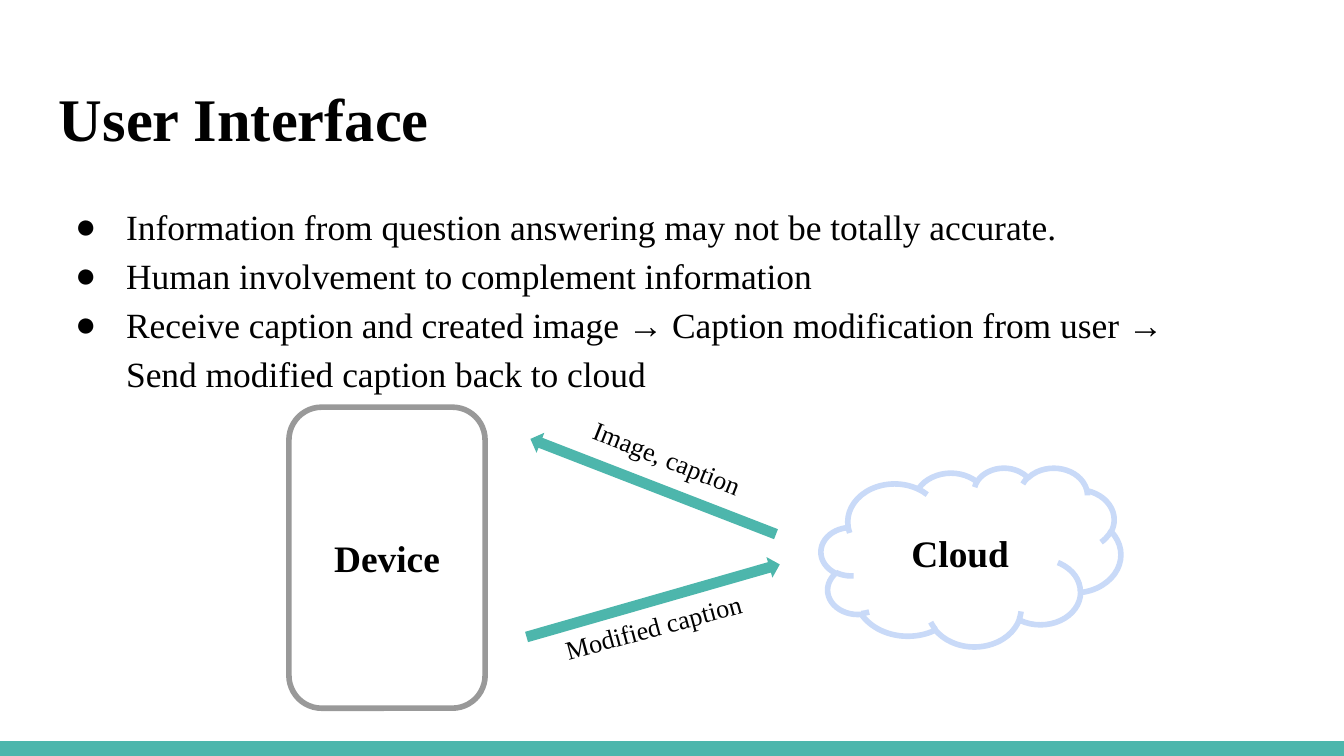
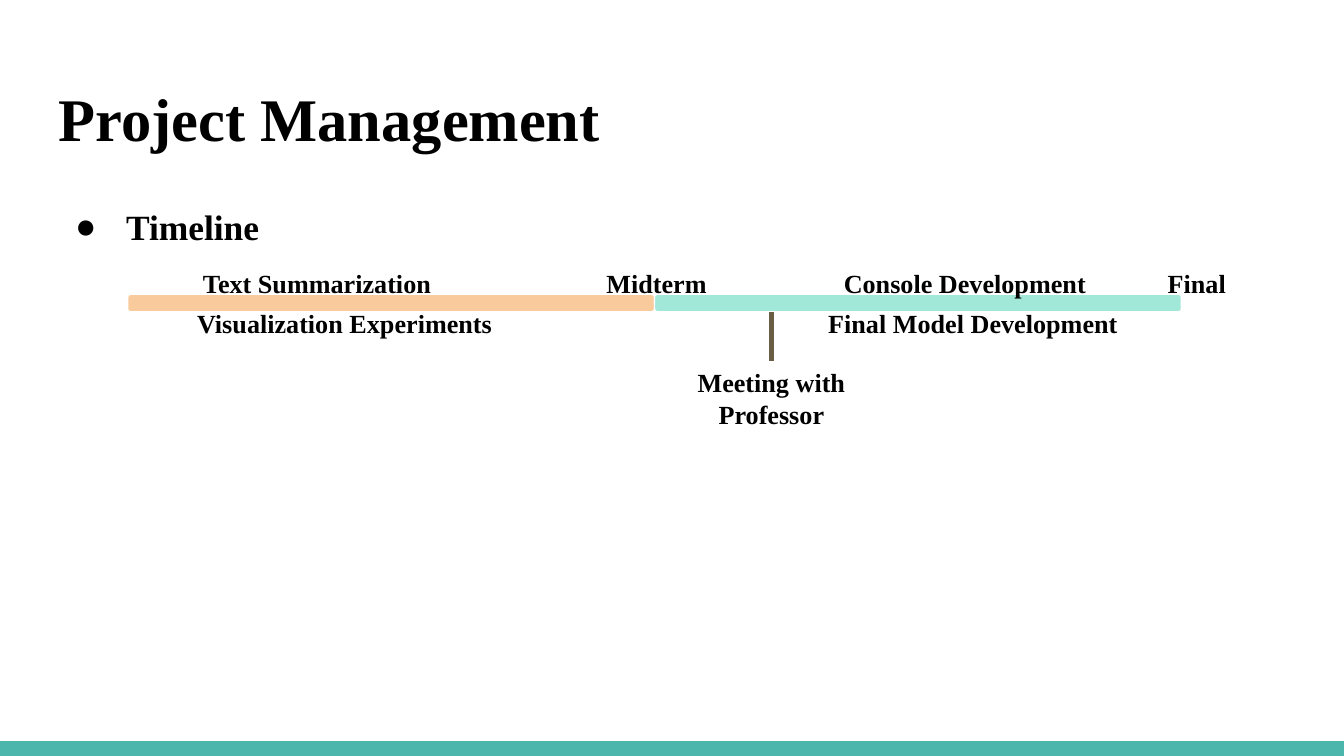
from lxml.etree import SubElement
from pptx import Presentation
from pptx.dml.color import RGBColor
from pptx.enum.shapes import MSO_CONNECTOR, MSO_SHAPE as Shape
from pptx.enum.text import MSO_ANCHOR as Anchor, MSO_AUTO_SIZE as AutoSize, PP_ALIGN as Align
from pptx.oxml.ns import qn
from pptx.util import Emu, Pt

# Lengths are px, 200 to the inch
SCALE = 4572
SLIDE_W, SLIDE_H = 2000, 1125
BAND_H = 22
INSET = 20
BODY_W = 1864

FONT = "Times New Roman"
BLACK = RGBColor(0x00, 0x00, 0x00)
WHITE = RGBColor(0xFF, 0xFF, 0xFF)
TEAL = RGBColor(0x4D, 0xB6, 0xAC)
GRAY = RGBColor(0x99, 0x99, 0x99)
PALE_BLUE = RGBColor(0xC9, 0xDA, 0xF8)
ORANGE = RGBColor(0xF9, 0xCB, 0x9C)
MINT = RGBColor(0xA1, 0xE8, 0xD9)
BROWN = RGBColor(0x69, 0x5D, 0x46)

# Text formats
TITLE = {"size": Pt(32.4), "bold": True}
BODY = {"size": Pt(19), "bold": False}
BODY_BOLD = {"size": Pt(19), "bold": True}
NODE = {"size": Pt(20), "bold": True}
FLOW_LABEL = {"size": Pt(14), "bold": False}
TIME_LABEL = {"size": Pt(14), "bold": True}


def px(*lengths):
    return [Emu(length * SCALE) for length in lengths]


def set_attributes(target, values):
    for name, value in values.items():
        setattr(target, name, value)


def write(frame, lines, style, align=Align.LEFT, anchor=Anchor.TOP):
    inset = Emu(INSET * SCALE)
    set_attributes(frame, {
        "word_wrap": True, "vertical_anchor": anchor,
        "margin_left": inset, "margin_right": inset,
        "margin_top": inset, "margin_bottom": inset})
    for number, line in enumerate(lines):
        paragraph = frame.paragraphs[0] if number == 0 else frame.add_paragraph()
        paragraph.alignment = align
        run = paragraph.add_run()
        run.text = line
        set_attributes(run.font, {"name": FONT, **style})
        run.font.color.rgb = BLACK


def add_text(slide, box, lines, style, **layout):
    text = slide.shapes.add_textbox(*px(*box))
    write(text.text_frame, lines, style, **layout)
    return text


def add_label(slide, box, words, style, align=Align.CENTER, rotation=0):
    label = add_text(slide, box, [words], style, align=align)
    label.text_frame.auto_size = AutoSize.SHAPE_TO_FIT_TEXT
    label.rotation = rotation


def add_bullets(slide, lines, style, width=BODY_W):
    body = add_text(slide, (68, 276, width, 722), lines, style)
    indent, hanging = px(100, -76)
    for paragraph in body.text_frame.paragraphs:
        paragraph.line_spacing = 1.15
        properties = paragraph._p.get_or_add_pPr()
        properties.set("marL", str(indent))
        properties.set("indent", str(hanging))
        color = SubElement(properties, qn("a:buClr"))
        SubElement(color, qn("a:srgbClr"), val=str(BLACK))
        SubElement(properties, qn("a:buFont"), typeface=FONT)
        SubElement(properties, qn("a:buChar"), char="●")


def add_block(slide, kind, box, fill, line=None, weight=3, rotation=0):
    block = slide.shapes.add_shape(kind, *px(*box))
    block.shadow.inherit = False
    block.rotation = rotation
    block.fill.solid()
    block.fill.fore_color.rgb = fill
    if line is None:
        block.line.fill.background()
    else:
        block.line.color.rgb = line
        block.line.width = Pt(weight)
    return block


def add_node(slide, kind, box, line, words):
    node = add_block(slide, kind, box, WHITE, line)
    write(node.text_frame, [words], NODE, align=Align.CENTER, anchor=Anchor.MIDDLE)


def add_marker(slide, x, top, bottom):
    marker = slide.shapes.add_connector(MSO_CONNECTOR.STRAIGHT, *px(x, top, x, bottom))
    marker.line.color.rgb = BROWN
    marker.line.width = Pt(3)
    SubElement(marker._element.spPr, qn("a:effectLst"))


def add_page(deck, title):
    slide = deck.slides.add_slide(deck.slide_layouts[6])
    add_block(slide, Shape.RECTANGLE, (0, SLIDE_H - BAND_H, SLIDE_W, BAND_H), TEAL)
    add_text(slide, (68, 98, BODY_W, 154), [title], TITLE, anchor=Anchor.MIDDLE)
    return slide


def build_interface(deck):
    slide = add_page(deck, "User Interface")
    add_bullets(slide, [
        "Information from question answering may not be totally accurate.",
        "Human involvement to complement information",
        "Receive caption and created image → Caption modification from user → "
        "Send modified caption back to cloud"], BODY, width=1762)

    # Device and cloud
    add_node(slide, Shape.ROUNDED_RECTANGLE, (430, 606, 292, 448), GRAY, "Device")
    add_node(slide, Shape.CLOUD, (1222, 696, 446, 266), PALE_BLUE, "Cloud")

    # Exchange between them
    for top, rotation in ((878, 344), (708, 201.2)):
        add_block(slide, Shape.RIGHT_ARROW, (776, top, 392, 32), TEAL, rotation=rotation)
    for left, top, rotation, words in ((844, 706, 21.8, "Image, caption"),
                                       (812, 846, 344.8, "Modified caption")):
        add_label(slide, (left, top, 638, 88), words, FLOW_LABEL, Align.LEFT, rotation)


def build_timeline(deck):
    slide = add_page(deck, "Project Management")
    add_bullets(slide, ["Timeline"], BODY_BOLD)

    # Two equal phases
    start, phase_w, bar_top, bar_h = 190, 784, 438, 26
    for number, color in enumerate((ORANGE, MINT)):
        bar = (start + number * phase_w, bar_top, phase_w, bar_h)
        add_block(slide, Shape.ROUNDED_RECTANGLE, bar, color, WHITE, 0.75)

    # Work and milestones above and below the bars
    above, below = 378, 438
    for left, top, width, words in (
            (866, above, 222, "Midterm"),
            (266, above, 412, "Text Summarization"),
            (266, below, 494, "Visualization Experiments"),
            (1230, above, 412, "Console Development"),
            (1208, below, 480, "Final Model Development"),
            (1670, above, 222, "Final")):
        add_label(slide, (left, top, width, 88), words, TIME_LABEL)

    # Meeting
    meeting_x, meeting_w = 1148, 328
    add_marker(slide, meeting_x, bar_top + bar_h, 538)
    add_label(slide, (meeting_x - meeting_w // 2, 526, meeting_w, 134),
              "Meeting with Professor", TIME_LABEL)


def main():
    deck = Presentation()
    deck.slide_width, deck.slide_height = px(SLIDE_W, SLIDE_H)
    build_interface(deck)
    build_timeline(deck)
    deck.save("out.pptx")


if __name__ == "__main__":
    main()
